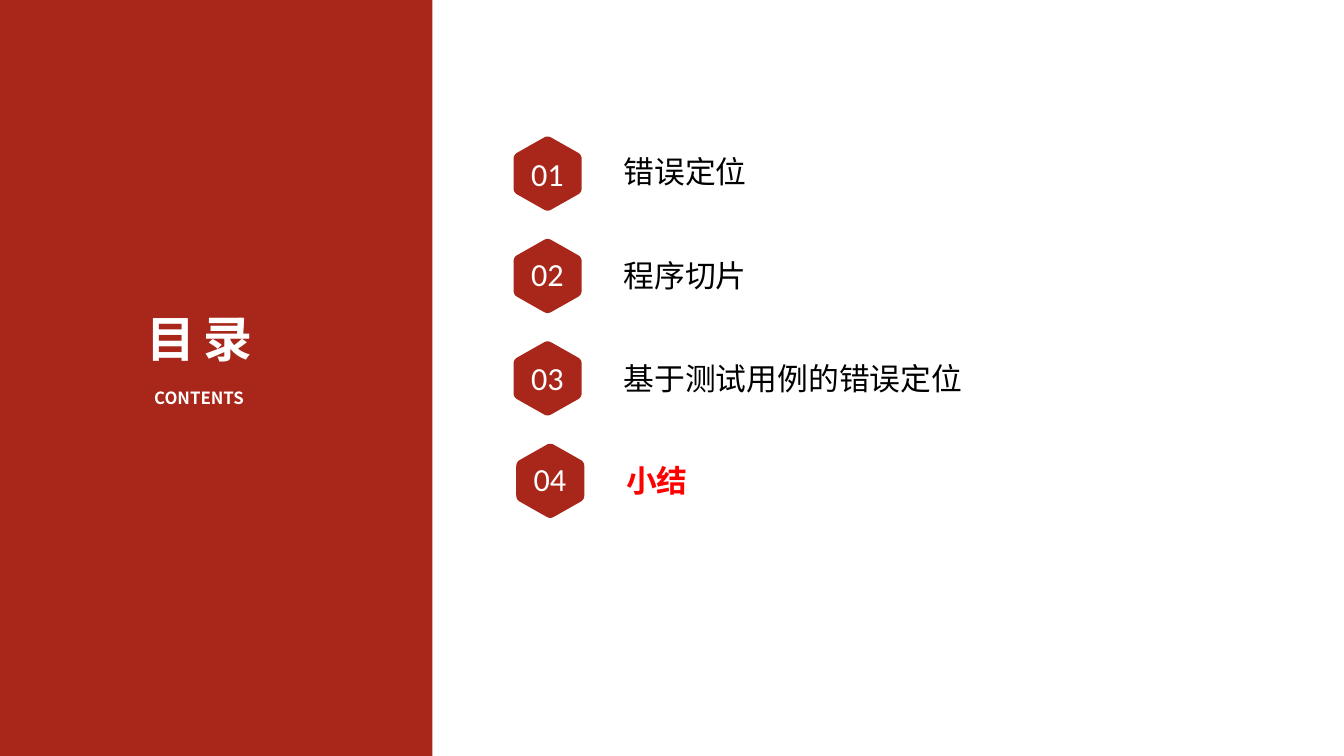
from lxml import etree
from pptx import Presentation
from pptx.dml.color import RGBColor
from pptx.enum import shapes as kinds, text as txt
from pptx.oxml import ns
from pptx.util import Pt

RED = RGBColor(0xA8, 0x27, 0x1A)
BRIGHT = RGBColor(0xFF, 0, 0)
WHITE = RGBColor(0xFF, 0xFF, 0xFF)
BLACK = RGBColor(0, 0, 0)
HAN = "Noto Sans CJK SC"
PITCH = 146.3

ITEMS = [
    dict(num="01", name="错误定位", drop=19.4, rise=15.1, size=(301, 67)),
    dict(num="02", name="程序切片", drop=21.6, rise=11.5, size=(447, 56)),
    dict(num="03", name="基于测试用例的错误定位", drop=23, rise=14.4, size=(572, 55)),
    dict(num="04", name="小结", drop=21.6, rise=11.5, size=(447, 56),
         shift=3.8, color=BRIGHT, bold=True),
]


def write(slide, words, left, top, width, height, size=44, color=BLACK, font=HAN,
          bold=False, align=txt.PP_ALIGN.LEFT, anchor=txt.MSO_ANCHOR.TOP, space=0):
    box = slide.shapes.add_textbox(Pt(left), Pt(top), Pt(width), Pt(height))
    frame = box.text_frame
    frame.word_wrap = True
    frame.vertical_anchor = anchor
    frame.margin_left = frame.margin_right = Pt(3.6)
    frame.margin_top = frame.margin_bottom = Pt(3.6)
    para = frame.paragraphs[0]
    para.alignment = align
    run = para.add_run()
    run.text = words
    run.font.size = Pt(size)
    run.font.bold = bold
    run.font.name = font
    run.font.color.rgb = color
    props = run.font._element
    etree.SubElement(props, ns.qn("a:ea")).set("typeface", font)
    if space:
        props.set("spc", str(round(space * 100)))


def paint(shape):
    shape.shadow.inherit = False
    shape.fill.solid()
    shape.fill.fore_color.rgb = RED
    shape.line.fill.background()


def toward(start, end, dist):
    dx, dy = end[0] - start[0], end[1] - start[1]
    part = dist / (dx * dx + dy * dy) ** 0.5
    return start[0] + dx * part, start[1] + dy * part


def bend(before, tip, after, steps=6):
    head, tail = toward(tip, before, 6), toward(tip, after, 6)
    for step in range(steps + 1):
        t = step / steps
        yield tuple(Pt((1 - t) ** 2 * a + 2 * t * (1 - t) * b + t * t * c)
                    for a, b, c in zip(head, tip, tail))


def hexagon(slide, left, top, width, height):
    mid, over = left + width / 2, 1.5
    right, low = left + width, top + height
    tips = [(mid, top - over), (right, top + 26), (right, low - 26),
            (mid, low + over), (left, low - 26), (left, top + 26)]
    dots = [dot for i, tip in enumerate(tips)
            for dot in bend(tips[i - 1], tip, tips[(i + 1) % 6])]
    path = slide.shapes.build_freeform(*dots[0])
    path.add_line_segments(dots[1:], close=True)
    paint(path.convert_to_shape())


def panel(slide, left, top, width, height):
    paint(slide.shapes.add_shape(kinds.MSO_SHAPE.RECTANGLE,
                                 Pt(left), Pt(top), Pt(width), Pt(height)))
    style = dict(color=WHITE, bold=True, align=txt.PP_ALIGN.CENTER)
    write(slide, "CONTENTS", left + 134.6, top + 550, 299.5, 71.3, size=24, **style)
    write(slide, "目录", left + 80.6, top + 437.8, 409, 205.2, size=70, space=11.7, **style)


def entry(slide, left, top, num, name, drop, rise, size, shift=0, **style):
    left += shift
    write(slide, name, left + 153.4, top + drop, *size, **style)
    hexagon(slide, left, top, 97.2, 105.8)
    write(slide, num, left - 14.4, top + rise, 125.3, 75.6, size=46, color=WHITE,
          font="Calibri", align=txt.PP_ALIGN.CENTER, anchor=txt.MSO_ANCHOR.MIDDLE)


def agenda(slide, left, top):
    for row, item in enumerate(ITEMS):
        entry(slide, left, top + row * PITCH, **item)


def main():
    deck = Presentation()
    deck.slide_width, deck.slide_height = Pt(1920), Pt(1080)
    slide = deck.slides.add_slide(deck.slide_layouts[6])
    panel(slide, 0, 0, 617.8, 1080)
    agenda(slide, 733.7, 195.1)
    deck.save("out.pptx")


if __name__ == "__main__":
    main()
